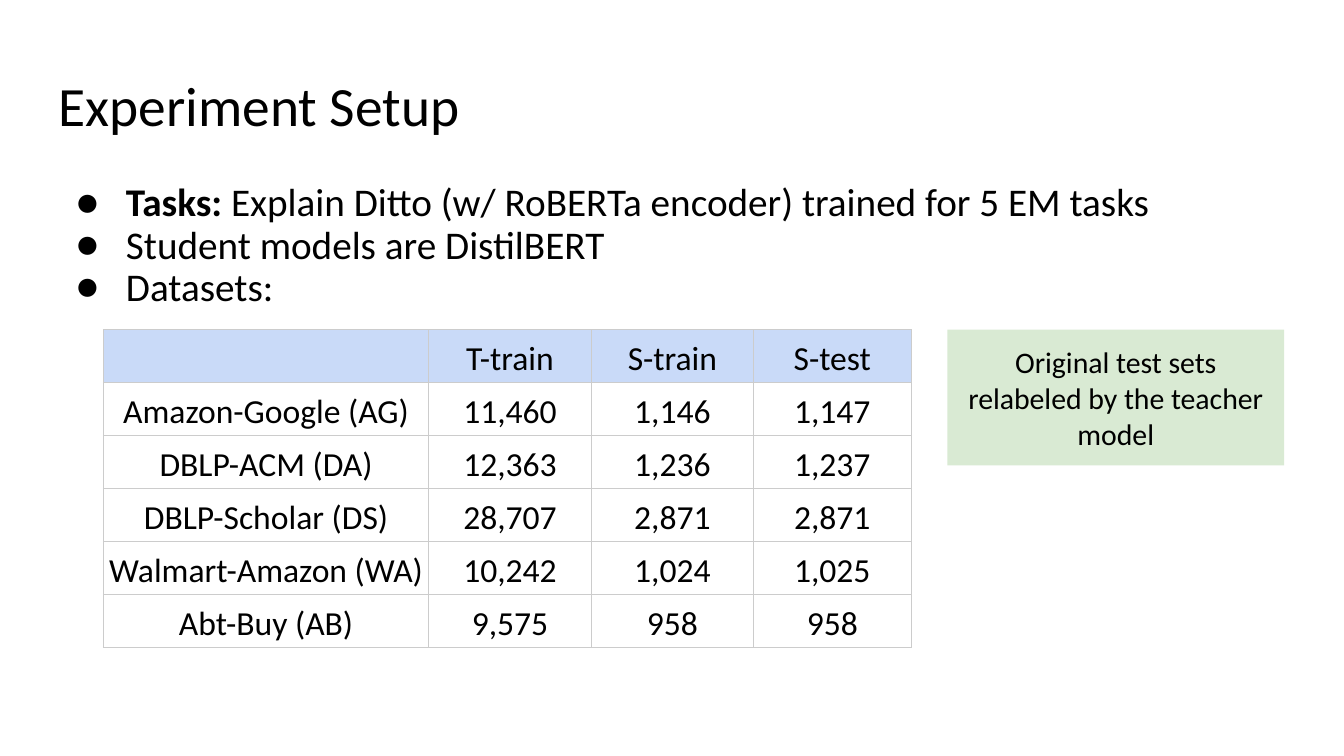
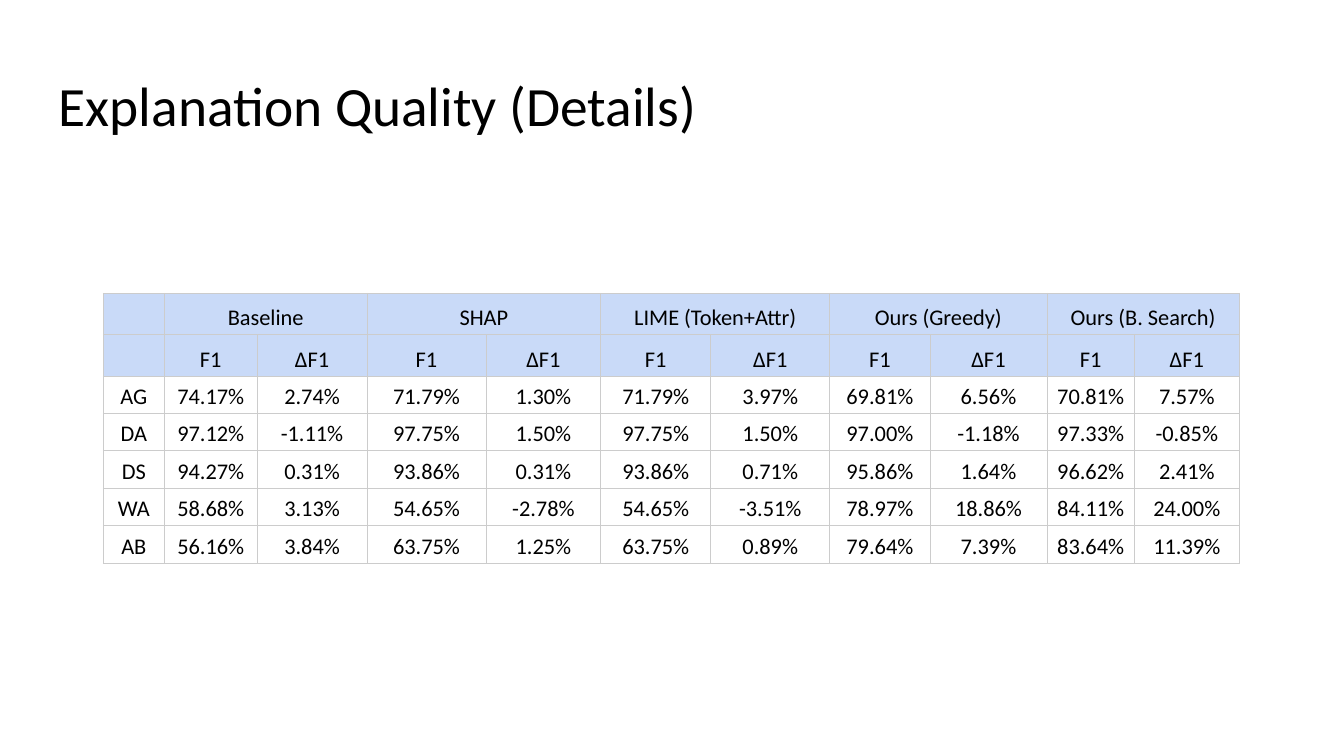
from dataclasses import dataclass

from lxml import etree
from pptx import Presentation
from pptx import util as u
from pptx.dml import color as c
from pptx.enum import shapes as s, text as t
from pptx.oxml import ns


@dataclass(frozen=True)
class Theme:
    """Hold the colours, type sizes and insets of the deck."""
    font: str = "Calibri"
    ink: str = "000000"
    head: str = "C9DAF8"
    note: str = "D9EAD3"
    rule: str = "CCCCCC"
    title: float = 39.6
    body: float = 28
    label: float = 21.3
    large: float = 24
    small: float = 16
    inset: float = 9.6


LOOK = Theme()
SIDES = "left", "top", "right", "bottom"
SETS = [
    ("", "T-train", "S-train", "S-test"),
    ("Amazon-Google (AG)", "11,460", "1,146", "1,147"),
    ("DBLP-ACM (DA)", "12,363", "1,236", "1,237"),
    ("DBLP-Scholar (DS)", "28,707", "2,871", "2,871"),
    ("Walmart-Amazon (WA)", "10,242", "1,024", "1,025"),
    ("Abt-Buy (AB)", "9,575", "958", "958"),
]
MODES = "Baseline", "SHAP", "LIME (Token+Attr)", "Ours (Greedy)", "Ours (B. Search)"
SCORES = """
AG 74.17% 2.74% 71.79% 1.30% 71.79% 3.97% 69.81% 6.56% 70.81% 7.57%
DA 97.12% -1.11% 97.75% 1.50% 97.75% 1.50% 97.00% -1.18% 97.33% -0.85%
DS 94.27% 0.31% 93.86% 0.31% 93.86% 0.71% 95.86% 1.64% 96.62% 2.41%
WA 58.68% 3.13% 54.65% -2.78% 54.65% -3.51% 78.97% 18.86% 84.11% 24.00%
AB 56.16% 3.84% 63.75% 1.25% 63.75% 0.89% 79.64% 7.39% 83.64% 11.39%
"""


def put(item, **form):
    """Set each format value on an item."""
    for name, value in form.items():
        setattr(item, name, value)


def points(*values):
    """Turn numbers into point lengths."""
    return [u.Pt(value) for value in values]


def paint(shape, tint):
    """Fill a shape or cell with one colour."""
    shape.fill.solid()
    shape.fill.fore_color.rgb = c.RGBColor.from_string(tint)


def write(para, words, size, bold=False, **form):
    """Add a styled run and format its paragraph."""
    put(para, **form)
    run = para.add_run()
    run.text = words
    put(run.font, name=LOOK.font, size=u.Pt(size), bold=bold)
    run.font.color.rgb = c.RGBColor.from_string(LOOK.ink)


def frame(shape, anchor=t.MSO_ANCHOR.TOP):
    """Set wrapping, anchor and equal insets, and return the text frame."""
    box = shape.text_frame
    put(box, word_wrap=True, auto_size=t.MSO_AUTO_SIZE.NONE, vertical_anchor=anchor,
        **{f"margin_{side}": u.Pt(LOOK.inset) for side in SIDES})
    return box


def page(deck, words):
    """Add a slide with its title."""
    slide = deck.slides.add_slide(deck.slide_layouts[5])
    head = slide.shapes.title
    put(head, **dict(zip(("left", "top", "width", "height"), points(32.4, 46.8, 894.2, 60.5))))
    write(frame(head).paragraphs[0], words, LOOK.title,
          alignment=t.PP_ALIGN.LEFT, line_spacing=0.9)
    return slide


def bullets(slide, place, items):
    """Add a bulleted list of (bold lead, text) pairs."""
    box = frame(slide.shapes.add_textbox(*points(*place)))
    for row, (lead, words) in enumerate(items):
        para = box.add_paragraph() if row else box.paragraphs[0]
        props = para._p.get_or_add_pPr()
        put_in = {"marL": u.Pt(48), "indent": u.Pt(-36)}
        for name, value in put_in.items():
            props.set(name, str(value))
        etree.SubElement(props, ns.qn("a:buFont"), typeface=LOOK.font)
        etree.SubElement(props, ns.qn("a:buChar"), char="●")
        if lead:
            write(para, lead, LOOK.body, bold=True)
        write(para, words, LOOK.body, line_spacing=0.9)


def note(slide, place, words):
    """Add a filled note with centred text."""
    shape = slide.shapes.add_shape(s.MSO_SHAPE.RECTANGLE, *points(*place))
    shape.shadow.inherit = False
    paint(shape, LOOK.note)
    shape.line.fill.background()
    write(frame(shape, t.MSO_ANCHOR.MIDDLE).paragraphs[0], words, LOOK.label,
          alignment=t.PP_ALIGN.CENTER)


def edge(cell):
    """Draw thin rules on all sides of a cell."""
    props = cell._tc.get_or_add_tcPr()
    for side in "LRTB":
        line = etree.SubElement(props, ns.qn(f"a:ln{side}"), w=str(u.Pt(0.75)))
        fill = etree.SubElement(line, ns.qn("a:solidFill"))
        etree.SubElement(fill, ns.qn("a:srgbClr"), val=LOOK.rule)


def grid(slide, left, top, cols, rows, data, size, heads=1):
    """Add a table; a None value joins its cell to the one before."""
    place = points(left, top, sum(cols), sum(rows))
    table = slide.shapes.add_table(len(rows), len(cols), *place).table
    put(table, first_row=False, horz_banding=False)
    for col, width in zip(table.columns, cols):
        col.width = u.Pt(width)
    for line, height in zip(table.rows, rows):
        line.height = u.Pt(height)
    for row, values in enumerate(data):
        for col, words in enumerate(values):
            cell = table.cell(row, col)
            edge(cell)
            put(cell, vertical_anchor=t.MSO_ANCHOR.BOTTOM,
                **{f"margin_{side}": u.Pt(pad) for side, pad in zip(SIDES, (2.9, 2.1) * 2)})
            if row < heads:
                paint(cell, LOOK.head)
            else:
                cell.fill.background()
            if words is None:
                table.cell(row, col - 1).merge(cell)
            elif words:
                write(cell.text_frame.paragraphs[0], words, size,
                      alignment=t.PP_ALIGN.CENTER, line_spacing=1.15)


def main():
    """Build and save the deck."""
    deck = Presentation()
    put(deck, slide_width=u.Pt(960), slide_height=u.Pt(540))

    setup = page(deck, "Experiment Setup")
    bullets(setup, (32.4, 121, 894.2, 114.5), [
        ("Tasks:", " Explain Ditto (w/ RoBERTa encoder) trained for 5 EM tasks"),
        ("", "Student models are DistilBERT"),
        ("", "Datasets:"),
    ])
    grid(setup, 73.8, 235.4, (232.5, 116, 116, 112.5), [37.6] * 6, SETS, LOOK.large)
    note(setup, (676.8, 235.4, 240.5, 97), "Original test sets relabeled by the teacher model")

    detail = page(deck, "Explanation Quality (Details)")
    names = ["", *(cell for mode in MODES for cell in (mode, None))]
    data = [names, ["", *["F1", "ΔF1"] * len(MODES)],
            *(line.split() for line in SCORES.strip().splitlines())]
    cols = 43.6, 66.2, 78.6, 85, 82, 78.6, 85, 71.6, 83.6, 62.4, 75
    grid(detail, 73.8, 209.5, cols, [29.6] * 2 + [26.4] * 5, data, LOOK.small, heads=2)

    deck.save("out.pptx")


if __name__ == "__main__":
    main()
